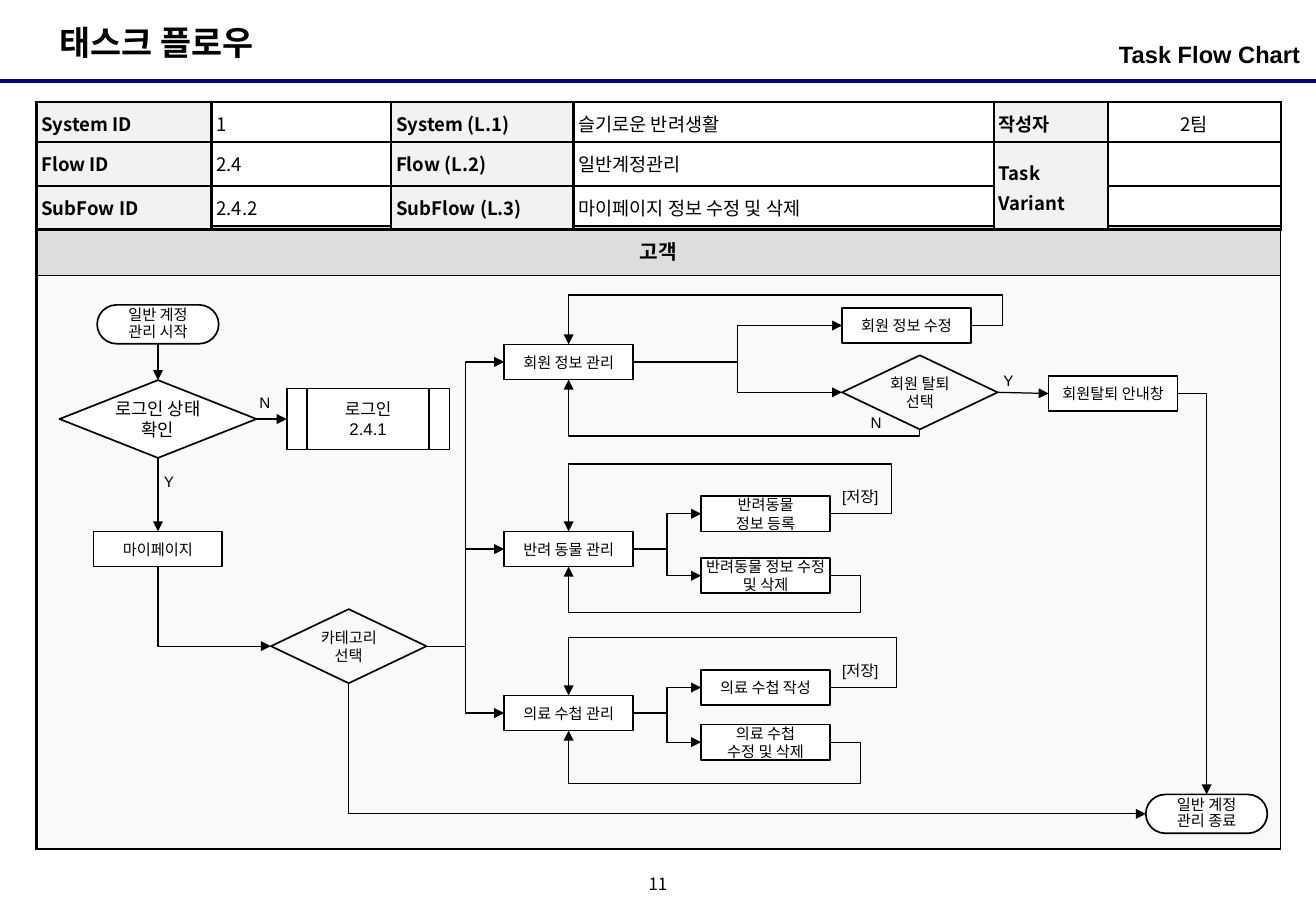
from lxml.etree import SubElement
from pptx import Presentation
from pptx.dml.color import RGBColor
from pptx.enum.shapes import MSO_CONNECTOR, MSO_SHAPE
from pptx.enum.text import MSO_ANCHOR, PP_ALIGN
from pptx.oxml.ns import qn
from pptx.util import Inches, Pt

BLACK = RGBColor(0x00, 0x00, 0x00)
WHITE = RGBColor(0xFF, 0xFF, 0xFF)
NAVY = RGBColor(0x00, 0x00, 0x80)
LABEL_GRAY = RGBColor(0xF2, 0xF2, 0xF2)
LANE_GRAY = RGBColor(0xDD, 0xDD, 0xDD)
BODY_GRAY = RGBColor(0xF9, 0xF9, 0xF9)
TOP, LEFT, BOTTOM, RIGHT = range(4)
LATIN, KOREAN = "Arial", "Noto Sans CJK KR"


class FlowSlide:
    cell = Inches(0.1)

    def __init__(self, prs):
        self.shapes = prs.slides.add_slide(prs.slide_layouts[6]).shapes

    def grid(self, *cells):
        return [round(n * self.cell) for n in cells]

    def set_text(self, box, tf, text, size, font=LATIN, bold=False, align=PP_ALIGN.CENTER,
                 spacing=1.0, anchor=MSO_ANCHOR.MIDDLE, insets=(0, 0), wrap=True):
        side, edge = self.grid(*insets)
        frame = {"vertical_anchor": anchor, "margin_left": side, "margin_right": side,
                 "margin_top": edge, "margin_bottom": edge}
        for name, value in frame.items():
            setattr(box, name, value)
        tf.word_wrap = wrap
        for i, line in enumerate(text.split("\n")):
            p = tf.add_paragraph() if i else tf.paragraphs[0]
            p.alignment, p.line_spacing = align, spacing
            if not line:
                SubElement(p._p, qn("a:endParaRPr"), sz=str(int(size * 100)))
                continue
            r = p.add_run()
            r.text = line
            style = {"size": Pt(size), "bold": bold, "name": font}
            for name, value in style.items():
                setattr(r.font, name, value)
            r.font.color.rgb = BLACK
            SubElement(r._r.get_or_add_rPr(), qn("a:ea"), typeface=KOREAN)

    def text(self, x, y, w, h, text, size, **style):
        tf = self.shapes.add_textbox(*self.grid(x, y, w, h)).text_frame
        self.set_text(tf, tf, text, size, **style)

    def label(self, cx, cy, text):
        self.text(cx - 2.8, cy - 1.3, 5.6, 2.6, text, 9, wrap=False)

    def node(self, cx, cy, text, kind=MSO_SHAPE.RECTANGLE, w=10.6, h=2.9,
             size=9, fill=WHITE, insets=(0.2, 0), spacing=1.0):
        sp = self.shapes.add_shape(kind, *self.grid(cx - w / 2, cy - h / 2, w, h))
        sp.shadow.inherit = False
        self.paint(sp, fill)
        sp.line.color.rgb, sp.line.width = BLACK, Pt(1)
        tf = sp.text_frame
        self.set_text(tf, tf, text, size, insets=insets, spacing=spacing)
        return sp

    def paint(self, box, fill):
        if fill is None:
            box.fill.background()
        else:
            box.fill.solid()
            box.fill.fore_color.rgb = fill

    def line(self, kind, ends, color, width):
        c = self.shapes.add_connector(kind, *ends)
        c.line.color.rgb, c.line.width = color, Pt(width)
        SubElement(c._element.spPr, qn("a:effectLst"))
        return c

    def site(self, sp, side):
        across = side - 1 if side in (LEFT, RIGHT) else 1
        down = side if side in (TOP, BOTTOM) else 1
        return sp.left + sp.width * across // 2, sp.top + sp.height * down // 2

    def link(self, source, out, target, into, legs=1, via=(None, None)):
        (x1, y1), (x2, y2) = self.site(source, out), self.site(target, into)
        kind = MSO_CONNECTOR.STRAIGHT if legs == 1 else MSO_CONNECTOR.ELBOW
        c = self.line(kind, (x1, y1, x2, y2), BLACK, 0.75)
        c.begin_connect(source, out)
        c.end_connect(target, into)
        SubElement(c.line._get_or_add_ln(), qn("a:tailEnd"), type="triangle")
        if legs > 1:
            self.bend(c, out == BOTTOM, legs, x1, y1, x2 - x1, y2 - y1, via)

    def bend(self, c, vertical, legs, x, y, dx, dy, via):
        w, h = (abs(dy), abs(dx)) if vertical else (abs(dx), abs(dy))
        c.left, c.top = x + (dx - w) // 2, y + (dy - h) // 2
        c.width, c.height = w, h
        if vertical:
            turn, flip = (270 if dx > 0 else 90), (dx > 0) == (dy > 0)
        else:
            turn, flip = (180 if dy < 0 else 0), (dx < 0) != (dy < 0)
        xfrm = c._element.spPr.find(qn("a:xfrm"))
        for name, value in {"rot": turn * 60000, "flipH": int(flip), "flipV": 0}.items():
            xfrm.set(name, str(value))
        geom = c._element.spPr.find(qn("a:prstGeom"))
        geom.set("prst", f"bentConnector{legs}")
        steps = [(stop * self.cell - start) / run
                 for stop, start, run in zip(via, (x, y), (dx, dy)) if stop is not None]
        guides = geom.find(qn("a:avLst"))
        for i, step in enumerate(steps, 1):
            SubElement(guides, qn("a:gd"), name=f"adj{i}", fmla=f"val {round(step * 100000)}")

    def table(self, x, y, cols, rows):
        table = self.shapes.add_table(len(rows), len(cols),
                                      *self.grid(x, y, sum(cols), sum(rows))).table
        table.first_row = table.horz_banding = False
        for col, w in zip(table.columns, self.grid(*cols)):
            col.width = w
        for row, h in zip(table.rows, self.grid(*rows)):
            row.height = h
        return table

    def table_cell(self, cell, text, size, fill=None, borders=(1.5,) * 4, insets=(0.4, 0.4), **style):
        tcPr = cell._tc.get_or_add_tcPr()
        for edge, width in zip("LRTB", borders):
            ln = SubElement(tcPr, qn(f"a:ln{edge}"), w=str(int(Pt(width))))
            SubElement(SubElement(ln, qn("a:solidFill")), qn("a:srgbClr"), val=str(BLACK))
        self.paint(cell, fill)
        self.set_text(cell, cell.text_frame, text, size, insets=insets, **style)


def add_frame(s):
    s.line(MSO_CONNECTOR.STRAIGHT, s.grid(0, 6.7, 108.3, 6.7), NAVY, 2.25)
    heading = {"bold": True, "anchor": MSO_ANCHOR.TOP}
    s.text(3.9, 1.3, 19.8, 4.4, "태스크 플로우", 20, align=PP_ALIGN.LEFT, insets=(1, 0.5), **heading)
    s.text(73.9, 2.8, 33.1, 3.9, "Task Flow Chart", 14, align=PP_ALIGN.RIGHT, insets=(0, 0.5), **heading)
    s.text(52.5, 71.7, 3.3, 2.5, "11", 10, font=KOREAN, spacing=0.8)
    lane = s.table(3, 18.6, [102.4], [4.1, 47.2])
    s.table_cell(lane.cell(0, 0), "고객", 12, LANE_GRAY, (1.5, 0.75, 1.5, 0.75), (1, 0.5), bold=True)
    s.table_cell(lane.cell(1, 0), "", 12, BODY_GRAY, (1.5, 0.75, 0.75, 1.5))


def add_info(s):
    info = [["System ID", "1", "System (L.1)", "슬기로운 반려생활", "작성자", "2팀"],
            ["Flow ID", "2.4", "Flow (L.2)", "일반계정관리", "Task Variant", ""],
            ["SubFow ID", "2.4.2", "SubFlow (L.3)", "마이페이지 정보 수정 및 삭제", "", ""]]
    table = s.table(3, 8.4, [14.4, 14.8, 15, 34.6, 9.4, 14.2], [3.3, 3.6, 3.6])
    table.cell(1, 4).merge(table.cell(2, 4))
    for i, row in enumerate(info):
        for j, text in enumerate(row):
            is_label = j % 2 == 0
            s.table_cell(table.cell(i, j), text, 11, LABEL_GRAY if is_label else None,
                         font=KOREAN, bold=is_label, spacing=1.1,
                         align=PP_ALIGN.CENTER if j == 5 else PP_ALIGN.LEFT,
                         anchor=MSO_ANCHOR.MIDDLE if j >= 4 else MSO_ANCHOR.TOP)


def add_flow(s):
    terminator = {"kind": MSO_SHAPE.FLOWCHART_TERMINATOR, "w": 10, "h": 3.2, "spacing": 0.9}
    decision = {"kind": MSO_SHAPE.FLOWCHART_DECISION, "w": 12.8, "h": 6.1,
                "fill": None, "insets": (0.4, 0.4)}
    start = s.node(13, 26.7, "일반 계정\n관리 시작", **terminator)
    end = s.node(99.3, 67, "일반 계정\n관리 종료", **terminator)
    status = s.node(13, 34.5, "로그인 상태 확인", MSO_SHAPE.FLOWCHART_DECISION, 16.2, 6.4, 10.5)
    login = s.node(30.3, 34.5, "로그인\n2.4.1", MSO_SHAPE.FLOWCHART_PREDEFINED_PROCESS, 13.4, 5, 10)
    my_page = s.node(13, 45.2, "마이페이지")
    category = s.node(28.7, 53.2, "카테고리 선택", **decision)
    member, pet, medical = [s.node(46.8, cy, text) for cy, text in (
        (29.8, "회원 정보 관리"), (45.2, "반려 동물 관리"), (58.7, "의료 수첩 관리"))]
    member_edit = s.node(74.6, 26.8, "회원 정보 수정")
    withdraw = s.node(75.7, 32.3, "회원 탈퇴 선택", **decision)
    notice = s.node(91.6, 32.4, "회원탈퇴 안내창")
    pet_add, pet_edit, medical_add, medical_edit = [s.node(63, cy, text) for cy, text in (
        (42.3, "반려동물\n정보 등록"), (47.4, "반려동물 정보 수정 및 삭제"),
        (56.6, "의료 수첩 작성"), (61.1, "의료 수첩\n수정 및 삭제"))]

    s.link(start, BOTTOM, status, TOP)
    s.link(status, RIGHT, login, LEFT)
    s.link(status, BOTTOM, my_page, TOP)
    s.link(withdraw, RIGHT, notice, LEFT)
    s.link(my_page, BOTTOM, category, LEFT, 2)
    s.link(category, BOTTOM, end, LEFT, 2)
    s.link(notice, RIGHT, end, TOP, 2)
    branches = ((category, (member, pet, medical)), (member, (member_edit, withdraw)),
                (pet, (pet_add, pet_edit)), (medical, (medical_add, medical_edit)))
    for source, targets in branches:
        for target in targets:
            s.link(source, RIGHT, target, LEFT, 3)
    for source, target, into, via in (
            (member_edit, member, TOP, (82.5, 24.3)),
            (pet_add, pet, TOP, (73.4, 38.2)), (pet_edit, pet, BOTTOM, (70.8, 50.4)),
            (medical_add, medical, TOP, (73.8, 52.5)), (medical_edit, medical, BOTTOM, (70.8, 64.5))):
        s.link(source, RIGHT, target, into, 4, via)
    s.link(withdraw, BOTTOM, member, BOTTOM, 3, (None, 35.9))

    for cx, cy, text in ((21.8, 33.1, "N"), (13.9, 39.6, "Y"), (72.1, 34.8, "N"),
                         (83, 31.3, "Y"), (70.8, 40.9, "[저장]"), (70.8, 55.2, "[저장]")):
        s.label(cx, cy, text)


def main():
    prs = Presentation()
    prs.slide_width, prs.slide_height = Inches(10.83), Inches(7.5)
    s = FlowSlide(prs)
    add_frame(s)
    add_info(s)
    add_flow(s)
    prs.save("out.pptx")


if __name__ == "__main__":
    main()
